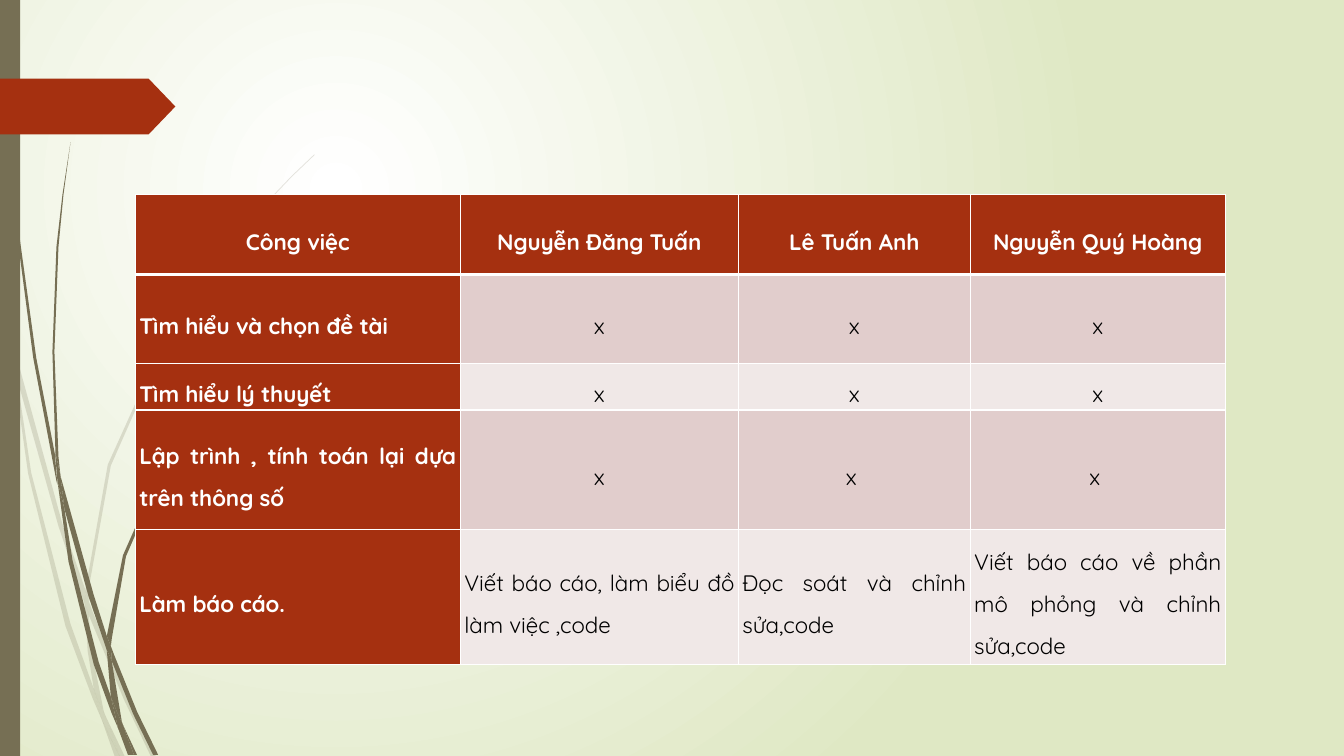
from lxml import etree
from pptx import Presentation
from pptx.dml.color import RGBColor
from pptx.enum.shapes import MSO_SHAPE
from pptx.enum.text import MSO_ANCHOR, PP_ALIGN
from pptx.oxml.ns import qn
from pptx.util import Cm, Pt

RECTANGLE = MSO_SHAPE.RECTANGLE
PENTAGON = MSO_SHAPE.PENTAGON
MIDDLE = MSO_ANCHOR.MIDDLE
CENTER, JUSTIFY = PP_ALIGN.CENTER, PP_ALIGN.JUSTIFY

WHITE = RGBColor(0xFF, 0xFF, 0xFF)
BLACK = RGBColor(0, 0, 0)
OLIVE = RGBColor(0x76, 0x6F, 0x54)
RUST = RGBColor(0xA5, 0x30, 0x10)
PALE_GREEN = RGBColor(0xDF, 0xE8, 0xC4)
BANDS = [RGBColor(0xF0, 0xE8, 0xE7), RGBColor(0xE1, 0xCD, 0xCC)]

FONT = "Quicksand"
INCH = Cm(2.54)
UNITS = 100

PALE_GRASS = [
    [(0.11, 3.5), (0.09, 3.22), (0, 2.82), (0, 2.99), (0.1, 3.44)],
    [(0.58, 5.22), (0.84, 5.99), (0.85, 5.86), (0.62, 5.2), (0.14, 3.45), (0.17, 3.76)],
    [(0.92, 6.07), (0.88, 5.96), (0.88, 6.1), (1.23, 6.94), (1.5, 7.51), (1.55, 7.51),
     (1.27, 6.92)],
    [(1.19, 7.51), (1.24, 7.51), (1.05, 7.11)],
    [(0.93, 6.83), (0.7, 6.19), (0.31, 4.69), (0.17, 3.76), (0.11, 3.5), (0.28, 4.7),
     (0.65, 6.21), (0.92, 6.93), (1.01, 7.14), (0.99, 7.07)],
    [(0.84, 5.99), (0.87, 6.46), (0.93, 6.83), (0.96, 6.92), (1.05, 7.11), (1.03, 7.06),
     (0.91, 6.46), (0.88, 6.1), (0.88, 6.08)],
    [(0.88, 5.84), (1.1, 4.62), (1.6, 3.49), (2.29, 2.45), (2.68, 1.98), (2.9, 1.75),
     (3.12, 1.54), (3.12, 1.53), (2.89, 1.75), (2.68, 1.97), (2.28, 2.44), (1.58, 3.48),
     (1.07, 4.61), (0.85, 5.84), (0.85, 5.86), (0.88, 5.96)],
    [(1.01, 7.14), (1.14, 7.51), (1.19, 7.51)],
    [(0.88, 6.08), (0.88, 6.1), (0.88, 5.96), (0.85, 5.86), (0.84, 5.99)],
    [(0.96, 6.92), (0.93, 6.83), (0.99, 7.07), (1.01, 7.14), (1.19, 7.51), (1.05, 7.11)],
]
DARK_GRASS = [
    [(0.07, 1.1), (0.17, 2.33), (0.33, 3.55), (0.56, 4.77), (0.57, 4.81), (0.55, 4.57),
     (0.55, 4.53), (0.36, 3.55), (0.19, 2.32), (0.08, 1.09), (0.05, 0.48), (0.04, 0),
     (0.03, 0), (0.04, 0.48)],
    [(0.88, 5.92), (1.06, 6.45), (1.06, 6.33), (1.06, 6.31), (0.93, 5.9), (0.6, 4.72),
     (0.64, 5.05)],
    [(1.13, 6.49), (1.1, 6.41), (1.11, 6.56), (1.32, 7.08), (1.52, 7.49), (1.57, 7.49),
     (1.36, 7.06)],
    [(1.1, 6.91), (0.98, 6.57), (0.72, 5.56), (0.64, 5.05), (0.57, 4.77), (0.68, 5.57),
     (0.93, 6.59), (1.11, 7.08), (1.17, 7.22), (1.16, 7.17)],
    [(0.6, 4.72), (0.58, 4.53), (0.54, 3.49), (0.58, 2.45), (0.63, 1.93), (0.7, 1.41),
     (0.62, 1.93), (0.56, 2.45), (0.52, 3.49), (0.55, 4.49)],
    [(1.33, 7.49), (1.36, 7.49), (1.22, 7.19)],
    [(0.57, 4.77), (0.64, 5.05), (0.6, 4.72), (0.55, 4.49), (0.55, 4.53)],
    [(1.11, 6.33), (1.25, 5.52), (1.58, 4.76), (2.05, 4.06), (2.31, 3.74), (2.45, 3.59),
     (2.61, 3.44), (2.6, 3.44), (2.45, 3.58), (2.31, 3.73), (2.04, 4.05), (1.56, 4.74),
     (1.22, 5.51), (1.06, 6.31), (1.1, 6.41)],
    [(1.17, 7.22), (1.27, 7.49), (1.31, 7.49)],
    [(1.06, 6.45), (1.1, 6.91), (1.16, 7.06), (1.22, 7.19), (1.21, 7.16), (1.11, 6.56),
     (1.09, 6.51)],
    [(1.06, 6.45), (1.09, 6.51), (1.11, 6.56), (1.1, 6.41), (1.06, 6.31), (1.06, 6.33)],
    [(1.16, 7.06), (1.1, 6.91), (1.16, 7.17), (1.17, 7.22), (1.3, 7.49), (1.33, 7.49),
     (1.22, 7.19)],
]

COLUMNS = [8.19, 7.01, 5.84, 6.43]
ROWS = [2.01, 2.24, 1.17, 3.02, 3.4]
TASKS = [
    ["Công việc", "Nguyễn Đăng Tuấn", "Lê Tuấn Anh", "Nguyễn Quý Hoàng"],
    ["Tìm hiểu và chọn đề tài", "x", "x", "x"],
    ["Tìm hiểu lý thuyết", "x", "x", "x"],
    ["Lập trình , tính toán lại dựa trên thông số", "x", "x ", "x "],
    ["Làm báo cáo.", "Viết báo cáo, làm biểu đồ làm việc ,code",
     "Đọc soát và chỉnh sửa,code", "Viết báo cáo về phần mô phỏng và chỉnh sửa,code"],
]


def set_background(s):
    """Fill the slide with a circular gradient from white to pale green."""
    fill = s.background.fill
    fill.gradient()
    for stop, color, position in zip(fill.gradient_stops, (WHITE, PALE_GREEN), (0, 1)):
        stop.color.rgb = color
        stop.position = position
    linear = s.element.find(".//" + qn("a:lin"))
    circle = etree.Element(qn("a:path"), path="circle")
    etree.SubElement(circle, qn("a:fillToRect"), l="50000", t="50000", r="100000", b="100000")
    linear.getparent().replace(linear, circle)


def paint(sp, color, alpha=None):
    """Give a shape a flat fill without line or shadow."""
    sp.shadow.inherit = False
    sp.line.fill.background()
    sp.fill.solid()
    sp.fill.fore_color.rgb = color
    if alpha:
        rgb = sp.element.spPr.find(".//" + qn("a:srgbClr"))
        etree.SubElement(rgb, qn("a:alpha"), val=str(alpha * 1000))


def add_grass(s, pieces, alpha=None):
    """Draw pieces of grass blades from outlines in inches."""
    for piece in pieces:
        outline = [(x * UNITS, y * UNITS) for x, y in piece]
        builder = s.shapes.build_freeform(*outline[0], scale=INCH / UNITS)
        builder.add_line_segments(outline[1:], close=True)
        paint(builder.convert_to_shape(), OLIVE, alpha)


def add_borders(cell, top, bottom):
    """Draw white borders around a cell, with widths in points."""
    tc_pr = cell._tc.get_or_add_tcPr()
    for side, width in (("L", 1), ("R", 1), ("T", top), ("B", bottom)):
        line = etree.SubElement(tc_pr, qn("a:ln" + side), w=str(Pt(width)))
        solid = etree.SubElement(line, qn("a:solidFill"))
        etree.SubElement(solid, qn("a:srgbClr"), val=str(WHITE))


def fill_cell(cell, text, row, column):
    """Write and format one table cell."""
    heading = row == 0 or column == 0
    add_borders(cell, 3 if row == 1 else 1, 3 if row == 0 else 1)
    cell.fill.solid()
    cell.fill.fore_color.rgb = RUST if heading else BANDS[row % 2]
    cell.margin_left = cell.margin_right = Cm(0.1)
    cell.margin_top = cell.margin_bottom = 0
    cell.vertical_anchor = MIDDLE
    cell.text_frame.text = text
    p = cell.text_frame.paragraphs[0]
    p.alignment = CENTER if row == 0 or text.strip() == "x" else JUSTIFY
    p.line_spacing = 1.5
    p.space_before = p.space_after = Pt(6)
    font = p.runs[0].font
    font.name, font.size, font.bold = FONT, Pt(16), heading
    font.color.rgb = WHITE if heading else BLACK


def add_task_table(s):
    """Add the table of tasks by team member."""
    table = s.shapes.add_table(len(ROWS), len(COLUMNS), Cm(3.41), Cm(4.91),
                               Cm(sum(COLUMNS)), Cm(sum(ROWS))).table
    for column, width in zip(table.columns, COLUMNS):
        column.width = Cm(width)
    for i, height in enumerate(ROWS):
        table.rows[i].height = Cm(height)
        for j, text in enumerate(TASKS[i]):
            fill_cell(table.cell(i, j), text, i, j)


def main():
    """Build and save the slide."""
    prs = Presentation()
    prs.slide_width, prs.slide_height = Cm(33.87), Cm(19.05)
    s = prs.slides.add_slide(prs.slide_layouts[6])
    set_background(s)
    add_grass(s, PALE_GRASS, 20)
    add_grass(s, DARK_GRASS)
    paint(s.shapes.add_shape(RECTANGLE, 0, 0, Cm(0.51), prs.slide_height), OLIVE)
    banner = s.shapes.add_shape(PENTAGON, 0, Cm(1.98), Cm(4.42), Cm(1.41))
    banner.adjustments[0] = 0.48
    paint(banner, RUST)
    add_task_table(s)
    prs.save("out.pptx")


if __name__ == "__main__":
    main()
